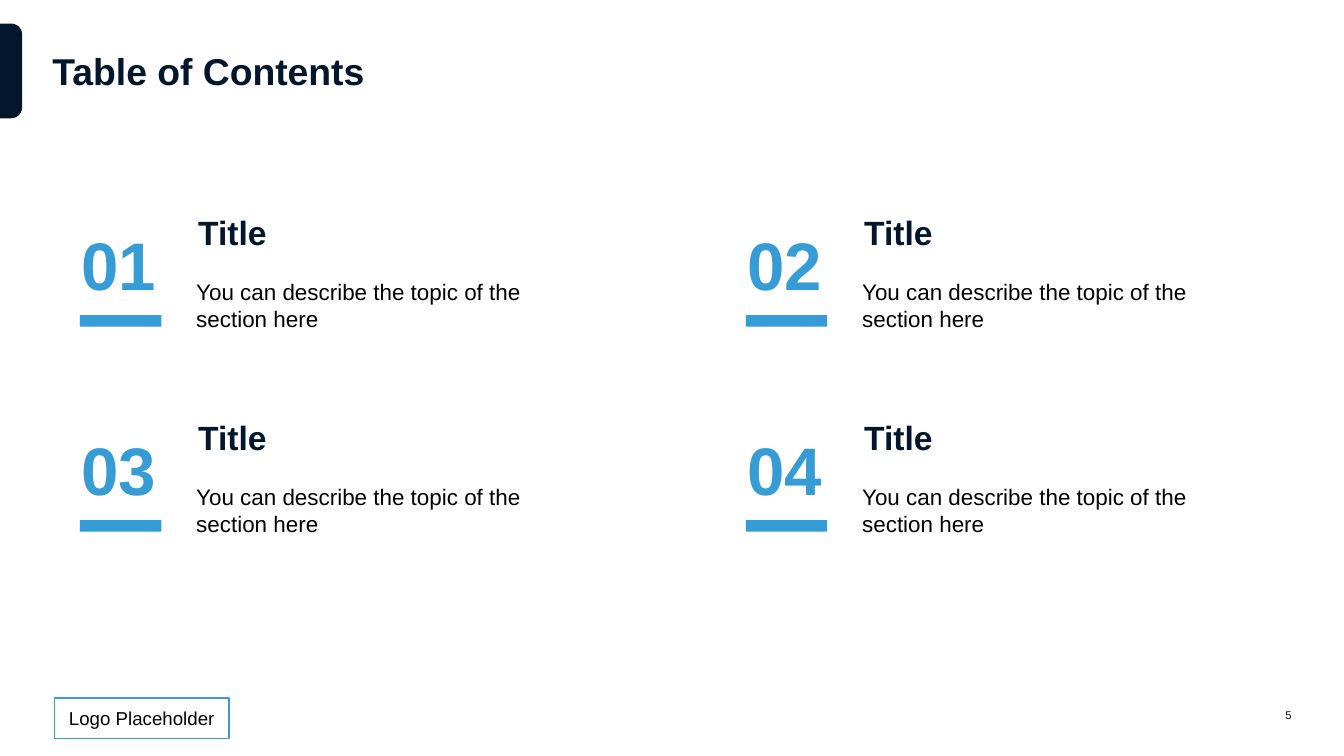
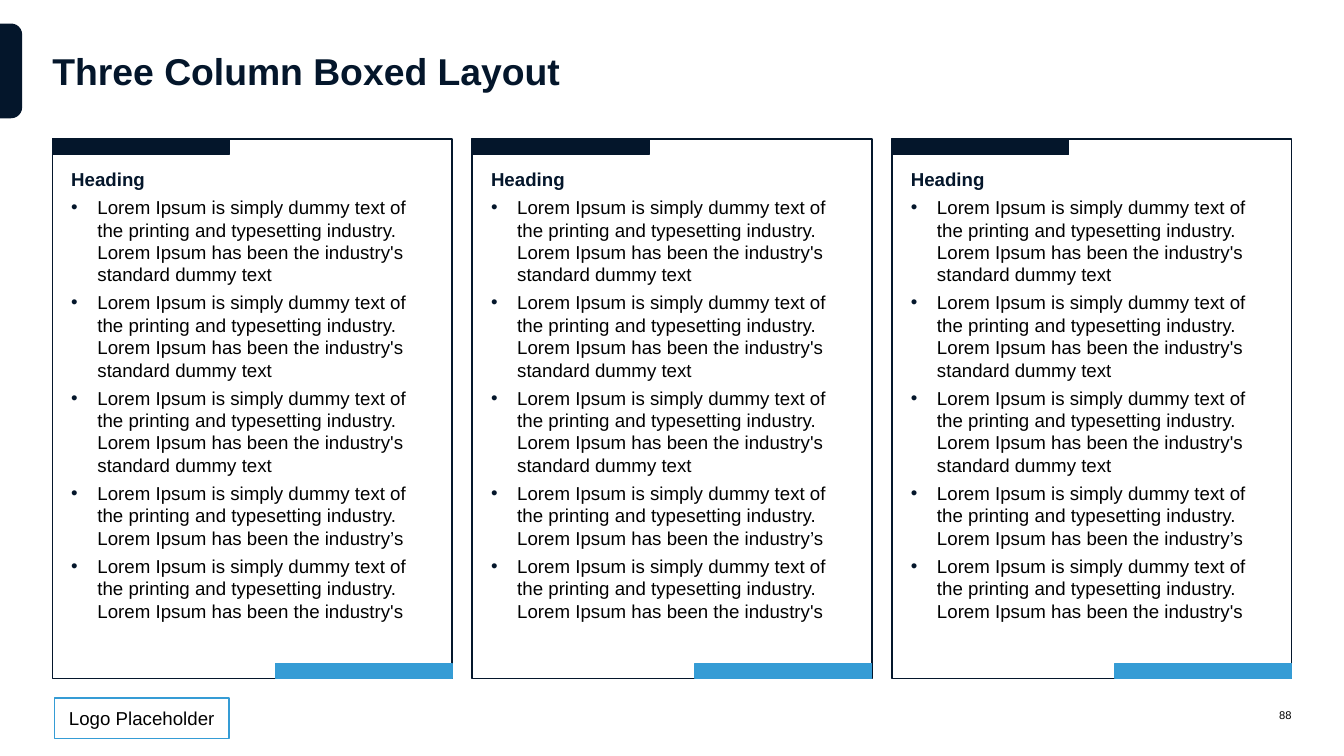
from dataclasses import dataclass
from typing import Optional, Union

from lxml import etree
from pptx import Presentation
from pptx.dml.color import RGBColor
from pptx.enum.shapes import MSO_SHAPE
from pptx.enum.text import MSO_ANCHOR, PP_ALIGN
from pptx.oxml.ns import qn
from pptx.presentation import Presentation as Deck
from pptx.shapes.autoshape import Shape
from pptx.shapes.shapetree import GroupShapes, SlideShapes
from pptx.slide import Slide
from pptx.text.text import TextFrame, _Paragraph
from pptx.util import Inches, Pt

RECTANGLE = MSO_SHAPE.RECTANGLE
ROUNDED = MSO_SHAPE.ROUNDED_RECTANGLE
ROUNDED_TOP = MSO_SHAPE.ROUND_2_SAME_RECTANGLE
TOP, MIDDLE = MSO_ANCHOR.TOP, MSO_ANCHOR.MIDDLE
LEFT, CENTER, RIGHT = PP_ALIGN.LEFT, PP_ALIGN.CENTER, PP_ALIGN.RIGHT

Shapes = Union[SlideShapes, GroupShapes]


@dataclass(frozen=True)
class Theme:
    font: str = "Arial"
    navy: str = "04162B"
    blue: str = "359CD5"
    black: str = "000000"
    white: str = "FFFFFF"
    title_size: float = 40
    number_size: float = 72
    topic_size: float = 36
    summary_size: float = 24
    body_size: float = 20
    page_size: float = 12
    line_width: float = 1.5
    paragraph_gap: float = 3


THEME = Theme()


@dataclass(frozen=True)
class Style:
    size: float
    color: str = THEME.black
    bold: bool = False


@dataclass(frozen=True)
class Box:
    left: float
    top: float
    width: float
    height: float

    def shifted(self, right: float, down: float) -> "Box":
        return Box(self.left + right, self.top + down, self.width, self.height)

    def lengths(self) -> tuple[Inches, Inches, Inches, Inches]:
        return (Inches(self.left), Inches(self.top),
                Inches(self.width), Inches(self.height))


@dataclass(frozen=True)
class Topic:
    number: str
    title: str
    summary: str


@dataclass(frozen=True)
class Column:
    heading: str
    bullets: tuple[str, ...]


TITLE = Style(THEME.title_size, THEME.navy, True)
NUMBER = Style(THEME.number_size, THEME.blue, True)
TOPIC = Style(THEME.topic_size, THEME.navy, True)
SUMMARY = Style(THEME.summary_size)
HEADING = Style(THEME.body_size, THEME.navy, True)
BODY = Style(THEME.body_size)
PAGE = Style(THEME.page_size)

MARGIN = 0.78
CONTENT_WIDTH = 18.44

TOPICS = [Topic(f"{number:02}", "Title",
                "You can describe the topic of the section here")
          for number in range(1, 5)]
LOREM = ("Lorem Ipsum is simply dummy text of the printing and typesetting "
         "industry. Lorem Ipsum has been the ")
COLUMNS = [Column("Heading", (
    *[LOREM + "industry's standard dummy text"] * 3,
    LOREM + "industry’s",
    LOREM + "industry's",
))] * 3


def format_runs(paragraph: _Paragraph, style: Style) -> None:
    for run in paragraph.runs:
        run.font.name = THEME.font
        run.font.size = Pt(style.size)
        run.font.bold = style.bold
        run.font.color.rgb = RGBColor.from_string(style.color)


def set_frame(frame: TextFrame, insets: tuple[float, float, float, float],
              anchor: MSO_ANCHOR) -> None:
    frame.word_wrap = True
    frame.vertical_anchor = anchor
    (frame.margin_left, frame.margin_top,
     frame.margin_right, frame.margin_bottom) = map(Inches, insets)


def add_text(shapes: Shapes, box: Box, text: str, style: Style,
             inset: float = 0.15, anchor: MSO_ANCHOR = TOP,
             align: PP_ALIGN = LEFT) -> None:
    frame = shapes.add_textbox(*box.lengths()).text_frame
    set_frame(frame, (inset,) * 4, anchor)
    frame.text = text
    frame.paragraphs[0].alignment = align
    format_runs(frame.paragraphs[0], style)


def add_block(shapes: Shapes, box: Box, fill: Optional[str] = None,
              line: Optional[str] = None,
              kind: MSO_SHAPE = RECTANGLE) -> Shape:
    block = shapes.add_shape(kind, *box.lengths())
    block.shadow.inherit = False
    if fill:
        block.fill.solid()
        block.fill.fore_color.rgb = RGBColor.from_string(fill)
    else:
        block.fill.background()
    if line:
        block.line.color.rgb = RGBColor.from_string(line)
        block.line.width = Pt(THEME.line_width)
    else:
        block.line.fill.background()
    return block


def add_bullet(paragraph: _Paragraph) -> None:
    properties = paragraph._p.get_or_add_pPr()
    properties.set("marL", str(Inches(0.39)))
    properties.set("indent", str(Inches(-0.39)))
    color = etree.SubElement(properties, qn("a:buClr"))
    etree.SubElement(color, qn("a:srgbClr"), val=THEME.navy)
    etree.SubElement(properties, qn("a:buFont"), typeface=THEME.font)
    etree.SubElement(properties, qn("a:buChar"), char="•")


def add_base_slide(deck: Deck, title: str, page: str) -> Slide:
    slide = deck.slides.add_slide(deck.slide_layouts[6])
    shapes = slide.shapes

    side_tab = add_block(shapes, Box(-0.54, 0.89, 1.41, 0.33), THEME.navy,
                         kind=ROUNDED_TOP)
    side_tab.adjustments[0] = 0.5
    side_tab.rotation = 90

    logo_box = add_block(shapes, Box(0.81, 10.39, 2.6, 0.6), THEME.white,
                         THEME.blue, ROUNDED)
    logo_box.adjustments[0] = 0
    logo_text = logo_box.text_frame
    set_frame(logo_text, (0.1, 0.05, 0.1, 0.05), MIDDLE)
    logo_text.text = "Logo Placeholder"
    logo_text.paragraphs[0].alignment = CENTER
    format_runs(logo_text.paragraphs[0], BODY)

    add_text(shapes, Box(MARGIN, 0.35, CONTENT_WIDTH, 1.39), title, TITLE,
             inset=0, anchor=MIDDLE)
    add_text(shapes, Box(18.34, 10.39, 0.88, 0.51), page, PAGE,
             inset=0, anchor=MIDDLE, align=RIGHT)
    return slide


def add_topic(shapes: Shapes, topic: Topic, right: float, down: float) -> None:
    parts = (
        (Box(1.06, 3.18, 2.06, 1.9), topic.number, NUMBER),
        (Box(2.77, 3.99, 6.23, 1.2), topic.summary, SUMMARY),
        (Box(2.8, 3.01, 6.23, 0.88), topic.title, TOPIC),
    )
    for box, text, style in parts:
        add_text(shapes, box.shifted(right, down), text, style)
    add_block(shapes, Box(1.19, 4.69, 1.21, 0.17).shifted(right, down),
              THEME.blue)


def add_column(shapes: Shapes, column: Column, frame_box: Box) -> None:
    group = shapes.add_group_shape().shapes
    top_bar = Box(frame_box.left, frame_box.top, 2.63, 0.23)
    bottom_bar = top_bar.shifted(frame_box.width - top_bar.width,
                                 frame_box.height - top_bar.height)

    add_block(group, top_bar, THEME.navy, THEME.navy)
    text = add_block(group, frame_box, line=THEME.navy).text_frame
    set_frame(text, (0.28, 0.43, 0.28, 0.28), TOP)
    text.text = "\n".join((column.heading, *column.bullets))
    for index, paragraph in enumerate(text.paragraphs):
        if index:
            add_bullet(paragraph)
            paragraph.space_before = Pt(THEME.paragraph_gap)
        paragraph.space_after = Pt(THEME.paragraph_gap)
        paragraph.alignment = LEFT
        format_runs(paragraph, BODY if index else HEADING)
    add_block(group, bottom_bar, THEME.blue, THEME.blue)


def build_contents(deck: Deck) -> None:
    slide = add_base_slide(deck, "Table of Contents", "5")
    for index, topic in enumerate(TOPICS):
        row, column = divmod(index, 2)
        add_topic(slide.shapes, topic, column * 9.91, row * 3.05)


def build_three_columns(deck: Deck) -> None:
    slide = add_base_slide(deck, "Three Column Boxed Layout", "88")
    gap = 0.3
    width = (CONTENT_WIDTH - gap * (len(COLUMNS) - 1)) / len(COLUMNS)
    for index, column in enumerate(COLUMNS):
        left = MARGIN + index * (width + gap)
        add_column(slide.shapes, column, Box(left, 2.07, width, 8.03))


def main() -> None:
    deck = Presentation()
    deck.slide_width = Inches(20)
    deck.slide_height = Inches(11.25)
    build_contents(deck)
    build_three_columns(deck)
    deck.save("out.pptx")


if __name__ == "__main__":
    main()
